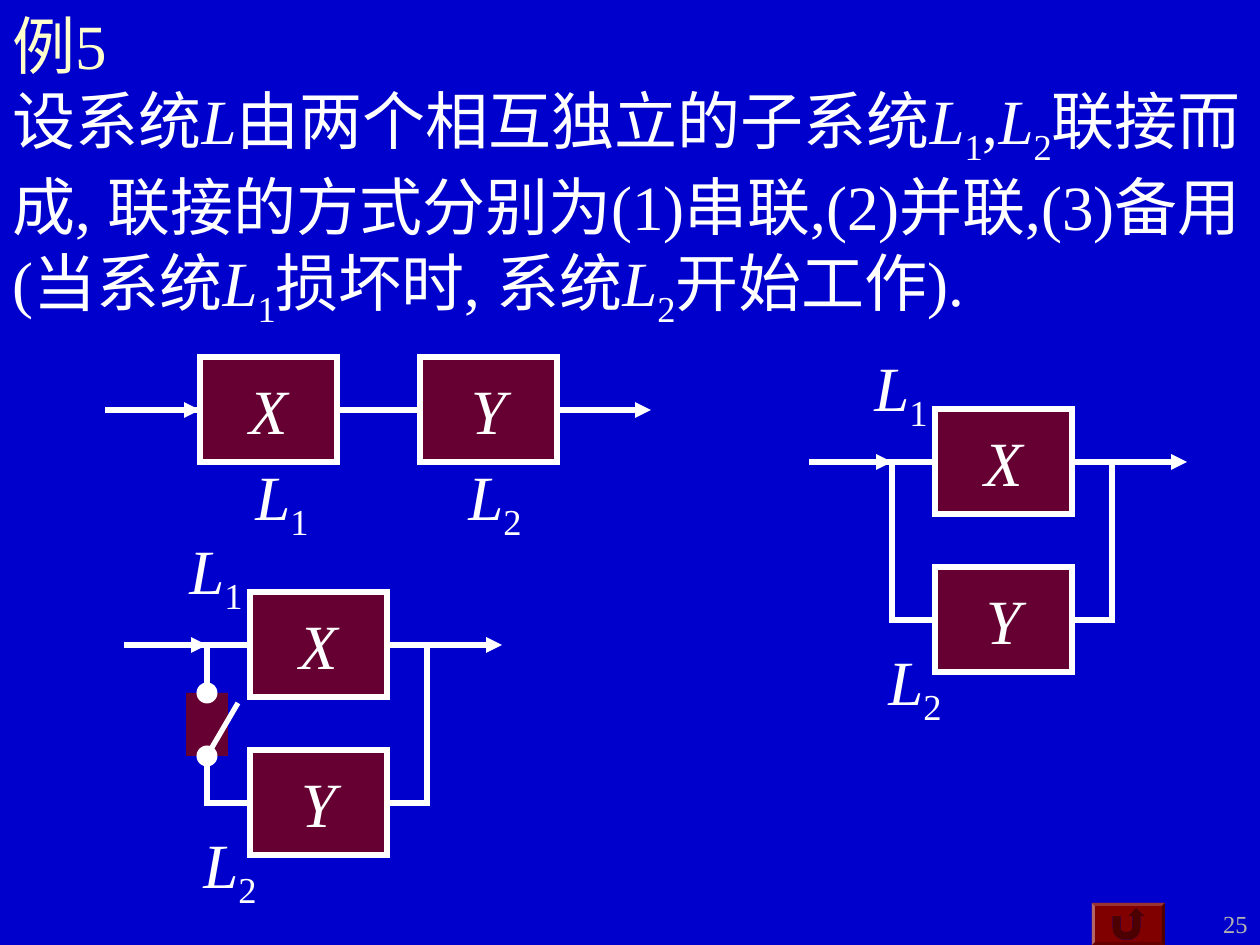
from lxml import etree
from pptx import Presentation, util as u
from pptx.dml.color import RGBColor
from pptx.enum import shapes, text
from pptx.oxml.ns import qn

PX = 914400 / 126
FONT = "Times New Roman"
COLORS = {"back": "0000CC", "box": "660033", "white": "FFFFFF", "heading": "FFFFCC",
          "button": "800000", "number": "B2B2B2", "top edge": "993333",
          "right edge": "4D0000", "bottom edge": "660000", "left edge": "B36666"}
L1 = [("L", "italic"), ("1", "sub")]
L2 = [("L", "italic"), ("2", "sub")]
HEADING = [("例5", "")]
PROBLEM = [("设系统", ""), ("L", "italic"), ("由两个相互独立的子系统", ""), *L1, (",", ""), *L2,
           ("联接而成, 联接的方式分别为(1)串联,(2)并联,(3)备用(当系统", ""), *L1,
           ("损坏时, 系统", ""), *L2, ("开始工作).", "")]
BOX = (137, 105)
LABEL = (78, 100)
LOOP = (220, 158)
SERIES = (200, 410)
SERIES_PARTS = [("X", 0, L1, 43), ("Y", 220, L2, 256)]
PARALLEL = (892, 462)
STANDBY = (207, 645)
PARALLEL_PARTS = [("X", -53, L1, -30, -120), ("Y", 105, L2, -16, 174)]
SWITCH_GAP = (693, 756)
BUTTON = (1092, 903, 73, 42)


def emu(*values):
    return [u.Emu(round(value * PX)) for value in values]


def color(name):
    return RGBColor.from_string(COLORS[name])


def write(para, spans, name="white", size=36):
    for words, style in spans:
        span = para.add_run()
        span.text = words
        span.font.name = FONT
        span.font.size = u.Pt(size)
        span.font.bold = False
        span.font.italic = style == "italic"
        span.font.color.rgb = color(name)
        if style == "sub":
            span.font._element.set("baseline", "-25000")


def paint(shape, fill=None, outline=True):
    shape.shadow.inherit = False
    if fill:
        shape.fill.solid()
        shape.fill.fore_color.rgb = color(fill)
    else:
        shape.fill.background()
    if outline:
        shape.line.color.rgb = color("white")
        shape.line.width = u.Pt(3)
        etree.SubElement(shape.line._get_or_add_ln(), qn("a:miter"), lim="800000")
    else:
        shape.line.fill.background()


def add_shape(kind, x, y, width, height, **look):
    shape = page.shapes.add_shape(kind, *emu(x, y, width, height))
    paint(shape, **look)
    return shape


def add_line(x1, y1, x2, y2, arrow=False):
    line = page.shapes.add_connector(shapes.MSO_CONNECTOR.STRAIGHT, *emu(x1, y1, x2, y2))
    line.line.color.rgb = color("white")
    line.line.width = u.Pt(3)
    if arrow:
        etree.SubElement(line.line._get_or_add_ln(), qn("a:tailEnd"), type="triangle")
    etree.SubElement(line._element.spPr, qn("a:effectLst"))


def add_box(x, y, letter):
    frame = add_shape(RECT, x, y, *BOX, fill="box").text_frame
    frame.word_wrap = False
    frame.vertical_anchor = text.MSO_ANCHOR.MIDDLE
    frame.paragraphs[0].alignment = text.PP_ALIGN.CENTER
    write(frame.paragraphs[0], [(letter, "italic")])


def add_text(x, y, width, height, spans, align, **look):
    frame = page.shapes.add_textbox(*emu(x, y, width, height)).text_frame
    frame.word_wrap = True
    frame.paragraphs[0].alignment = align
    write(frame.paragraphs[0], spans, **look)
    return frame


def add_label(x, y, spans):
    frame = add_text(x, y, *LABEL, spans, text.PP_ALIGN.CENTER)
    frame.margin_left = frame.margin_right = 0


def add_input(x, y, reach):
    add_line(x - 42, y, x, y, arrow=True)
    add_line(x - reach[0], y, x + reach[1], y, arrow=True)


def add_series(x, y):
    add_input(x, y, (95, 451))
    for letter, shift, label, label_shift in SERIES_PARTS:
        add_box(x + shift, y - 53, letter)
        add_label(x + label_shift, y + 41, label)


def add_parallel(x, y):
    add_shape(RECT, x, y, *LOOP)
    add_input(x, y, (83, 295))
    for letter, drop, label, label_shift, label_drop in PARALLEL_PARTS:
        add_box(x + 43, y + drop, letter)
        add_label(x + label_shift, y + label_drop, label)


def add_switch(x, top, bottom):
    add_line(x, top - 31, x, bottom + 21)
    add_shape(RECT, x - 21, top, 42, bottom - top, fill="box", outline=False)
    for y in (top, bottom):
        add_shape(shapes.MSO_SHAPE.OVAL, x - 10.5, y - 10.5, 21, 21, fill="white", outline=False)
    add_line(x, bottom, x + 31, top + 10)


def add_button(x, y, width, height, bevel=3):
    add_shape(shapes.MSO_SHAPE.ACTION_BUTTON_RETURN, x, y, width, height,
              fill="button", outline=False)
    right, bottom = x + width, y + height
    outer = [(x, y), (right, y), (right, bottom), (x, bottom)]
    inner = [(x + bevel, y + bevel), (right - bevel, y + bevel),
             (right - bevel, bottom - bevel), (x + bevel, bottom - bevel)]
    for side, name in enumerate(("top edge", "right edge", "bottom edge", "left edge")):
        after = (side + 1) % 4
        builder = page.shapes.build_freeform(*outer[side], scale=PX)
        builder.add_line_segments([outer[after], inner[after], inner[side]], close=True)
        paint(builder.convert_to_shape(), fill=name, outline=False)


RECT = shapes.MSO_SHAPE.RECTANGLE
deck = Presentation()
deck.slide_width, deck.slide_height = emu(1260, 945)
page = deck.slides.add_slide(deck.slide_layouts[5])
page.background.fill.solid()
page.background.fill.fore_color.rgb = color("back")

title = page.shapes.title
title.left, title.top, title.width, title.height = emu(0, 0, 1260, 334)
title.text_frame.word_wrap = True
title.text_frame.auto_size = text.MSO_AUTO_SIZE.NONE
title.text_frame.vertical_anchor = text.MSO_ANCHOR.TOP
statement = title.text_frame.paragraphs[0]
statement.alignment = text.PP_ALIGN.LEFT
write(statement, HEADING, name="heading")
statement.add_line_break()
write(statement, PROBLEM)

add_series(*SERIES)
add_parallel(*PARALLEL)
add_parallel(*STANDBY)
add_switch(STANDBY[0], *SWITCH_GAP)

add_button(*BUTTON)
add_text(1176, 903, 84, 42, [("25", "")], text.PP_ALIGN.RIGHT, name="number", size=14)

deck.save("out.pptx")
